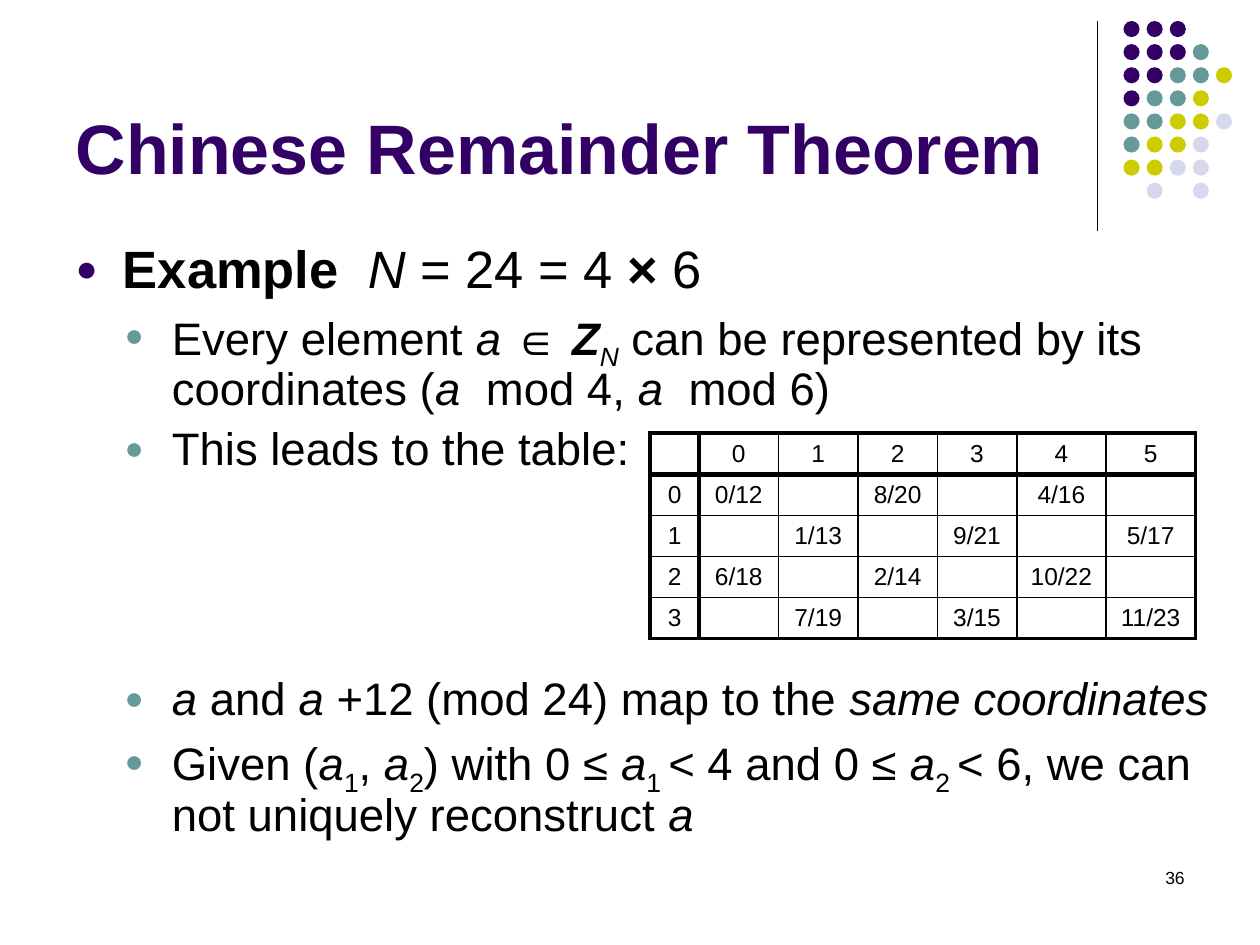
from dataclasses import dataclass

from pptx import Presentation
from pptx.dml.color import RGBColor
from pptx.enum.shapes import MSO_CONNECTOR as Connector, MSO_SHAPE as Shape
from pptx.enum.text import MSO_ANCHOR as Anchor, MSO_AUTO_SIZE as AutoSize, PP_ALIGN as Align
from pptx.oxml.ns import qn
from pptx.util import Pt
from lxml.etree import SubElement


@dataclass(frozen=True)
class Theme:
    font: str = "Arial"
    black: str = "000000"
    purple: str = "330066"
    teal: str = "669999"
    olive: str = "CCCC00"
    lilac: str = "D8D8EC"
    title: int = 40
    lead: int = 30
    point: int = 26
    cell: int = 14
    number: int = 10


DOT_ROWS = ["PPP", "PPPT", "PPTTY", "PTTY", "TTYYL", "TYYL", "YYLL", " L L"]

LEAD = [("Example", "b"), ("  N ", "i"), ("= 24 = 4 ", ""), ("×", "b"), (" 6", "")]
POINTS = [
    (6, [("Every element ", ""), ("a ", "i"), ("∈ ", ""), ("Z", "bi"), ("N", "is"),
         (" can be represented by its coordinates (", ""), ("a  ", "i"), ("mod 4, ", ""),
         ("a  ", "i"), ("mod 6)", "")]),
    (6, [("This leads to the table:", "")]),
    (115, [("a ", "i"), ("and ", ""), ("a ", "i"), ("+12 (mod 24) map to the ", ""),
           ("same coordinates", "i")]),
    (6, [("Given (", ""), ("a", "i"), ("1", "s"), (", ", ""), ("a", "i"), ("2", "s"),
         (") with 0 ≤ ", ""), ("a", "i"), ("1 ", "s"), ("< 4 and 0 ≤ ", ""), ("a", "i"),
         ("2 ", "s"), ("< 6, we can not uniquely reconstruct ", ""), ("a", "i")]),
]

COLUMN_WIDTHS = [28] + [45.4] * 4 + [51] * 2
ROW_HEIGHT = 23.5
RESIDUES = [
    ["", "0", "1", "2", "3", "4", "5"],
    ["0", "0/12", "", "8/20", "", "4/16", ""],
    ["1", "", "1/13", "", "9/21", "", "5/17"],
    ["2", "6/18", "", "2/14", "", "10/22", ""],
    ["3", "", "7/19", "", "3/15", "", "11/23"],
]


class SlideBuilder:
    """Holds the theme and the current page, and adds styled elements to it."""

    def __init__(self, page, theme):
        self.page = page
        self.theme = theme

    def place(self, shape, left, top, width, height):
        shape.left, shape.top, shape.width, shape.height = map(Pt, (left, top, width, height))

    def style(self, para, size, color=None, bold=False):
        font = para.font
        font.name, font.size, font.bold = self.theme.font, Pt(size), bold
        font.color.rgb = RGBColor.from_string(color or self.theme.black)

    def rule(self, x, top, bottom):
        line = self.page.shapes.add_connector(
            Connector.STRAIGHT, Pt(x), Pt(top), Pt(x), Pt(bottom))
        line.line.color.rgb = RGBColor.from_string(self.theme.black)
        line.line.width = Pt(0.75)
        SubElement(line._element.spPr, qn("a:effectLst"))

    def dots(self, left, top, pitch, size):
        theme = self.theme
        colors = {"P": theme.purple, "T": theme.teal, "Y": theme.olive, "L": theme.lilac}
        for row, keys in enumerate(DOT_ROWS):
            for column, key in enumerate(keys):
                if key in colors:
                    dot = self.page.shapes.add_shape(
                        Shape.OVAL, Pt(left + column * pitch), Pt(top + row * pitch),
                        Pt(size), Pt(size))
                    dot.shadow.inherit = False
                    dot.fill.solid()
                    dot.fill.fore_color.rgb = RGBColor.from_string(colors[key])
                    dot.line.fill.background()

    def title(self, text, *bounds):
        box = self.page.shapes.title
        self.place(box, *bounds)
        frame = box.text_frame
        frame.auto_size, frame.vertical_anchor = AutoSize.NONE, Anchor.BOTTOM
        frame.text = text
        para = frame.paragraphs[0]
        para.alignment = Align.LEFT
        self.style(para, self.theme.title, self.theme.purple, True)

    def bullet(self, para, indent, color):
        props = para._p.get_or_add_pPr()
        props.set("marL", str(Pt(indent)))
        props.set("indent", str(-Pt(27)))
        SubElement(SubElement(props, qn("a:buClr")), qn("a:srgbClr")).set("val", color)
        SubElement(props, qn("a:buSzPct")).set("val", "70000")
        SubElement(props, qn("a:buFont")).set("typeface", self.theme.font)
        SubElement(props, qn("a:buChar")).set("char", "●")

    def item(self, para, level, before, spans):
        theme = self.theme
        para.level = level
        para.line_spacing, para.space_before = 0.9, Pt(before)
        self.bullet(para, 55 if level else 27, theme.teal if level else theme.purple)
        self.style(para, theme.point if level else theme.lead)
        for text, marks in spans:
            span = para.add_run()
            span.text = text
            if "b" in marks:
                span.font.bold = True
            if "i" in marks:
                span.font.italic = True
            if "s" in marks:
                span._r.get_or_add_rPr().set("baseline", "-25000")

    def body(self, *bounds):
        box = self.page.placeholders[1]
        self.place(box, *bounds)
        frame = box.text_frame
        frame.auto_size = AutoSize.NONE
        self.item(frame.paragraphs[0], 0, 0, LEAD)
        for before, spans in POINTS:
            self.item(frame.add_paragraph(), 1, before, spans)

    def border(self, cell, side, width):
        line = SubElement(cell._tc.get_or_add_tcPr(), qn(f"a:ln{side}"), w=str(Pt(width)))
        fill = SubElement(line, qn("a:solidFill"))
        SubElement(fill, qn("a:srgbClr")).set("val", self.theme.black)

    def table(self, left, top, rows):
        last_row, last_column = len(rows) - 1, len(rows[0]) - 1
        table = self.page.shapes.add_table(
            len(rows), len(rows[0]), Pt(left), Pt(top),
            Pt(sum(COLUMN_WIDTHS)), Pt(ROW_HEIGHT * len(rows))).table
        table.first_row = table.horz_banding = False
        for column, width in zip(table.columns, COLUMN_WIDTHS):
            column.width = Pt(width)
        for r, texts in enumerate(rows):
            table.rows[r].height = Pt(ROW_HEIGHT)
            for c, text in enumerate(texts):
                cell = table.cell(r, c)
                cell.margin_top = cell.margin_bottom = Pt(1)
                cell.vertical_anchor = Anchor.MIDDLE
                cell.text = text
                para = cell.text_frame.paragraphs[0]
                para.alignment = Align.CENTER
                self.style(para, self.theme.cell)
                self.border(cell, "L", {0: 2.25, 1: 3}.get(c, 1))
                self.border(cell, "R", {0: 3, last_column: 2.25}.get(c, 1))
                self.border(cell, "T", {0: 2.25, 1: 3}.get(r, 1))
                self.border(cell, "B", {0: 3, last_row: 2.25}.get(r, 1))
                cell.fill.background()

    def page_number(self, text, *bounds):
        frame = self.page.shapes.add_textbox(*map(Pt, bounds)).text_frame
        frame.word_wrap = True
        frame.text = text
        para = frame.paragraphs[0]
        para.alignment = Align.RIGHT
        self.style(para, self.theme.number)


def main():
    deck = Presentation()
    deck.slide_width, deck.slide_height = Pt(720), Pt(540)
    builder = SlideBuilder(deck.slides.add_slide(deck.slide_layouts[1]), Theme())
    builder.rule(627, 12, 132)
    builder.dots(642, 12, 13.2, 9.2)
    builder.page_number("36", 516, 492, 168, 36)
    builder.title("Chinese Remainder Theorem", 36, 9.5, 594, 102)
    builder.body(36, 135.5, 667.5, 367)
    builder.table(371.5, 247.5, RESIDUES)
    deck.save("out.pptx")


if __name__ == "__main__":
    main()
